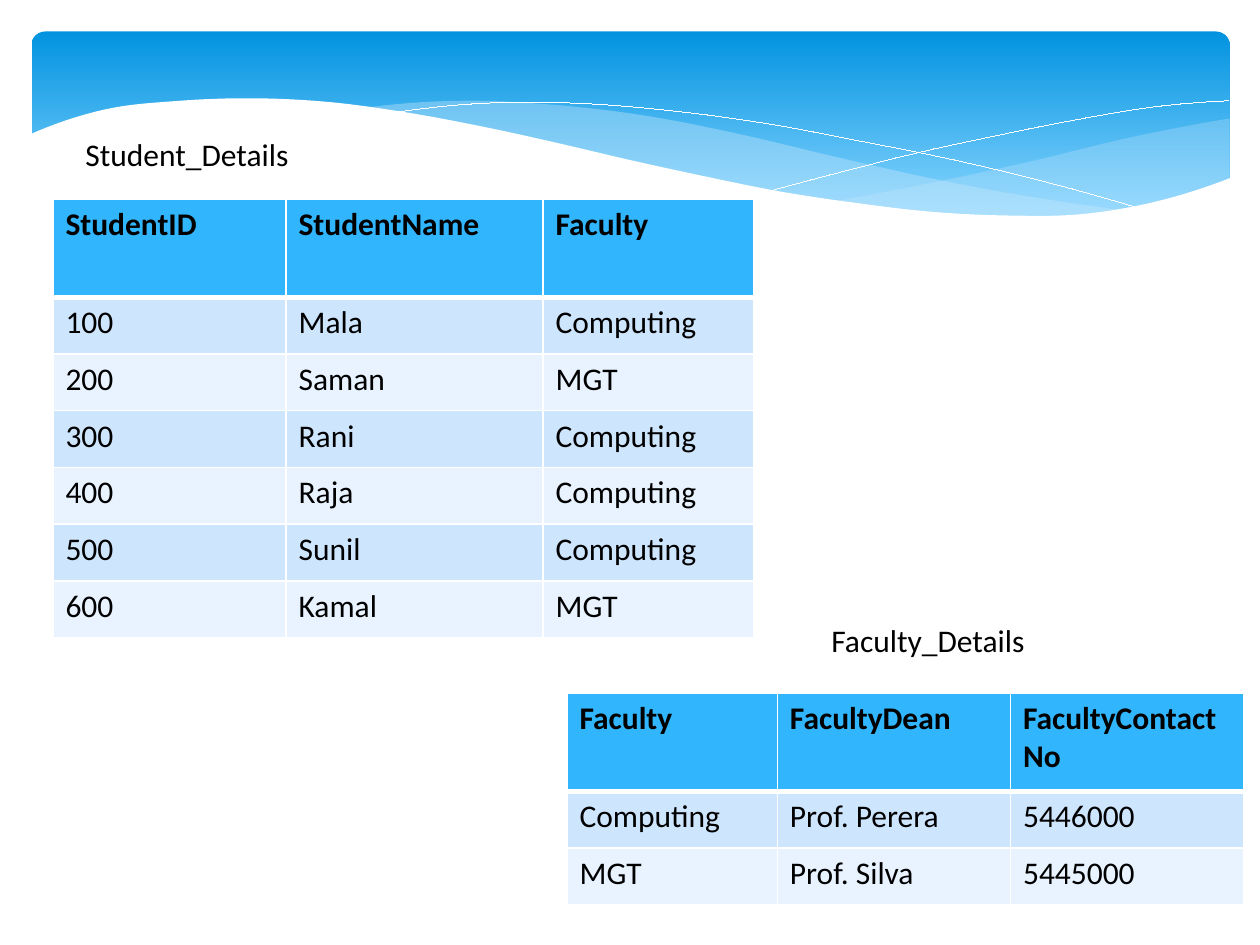
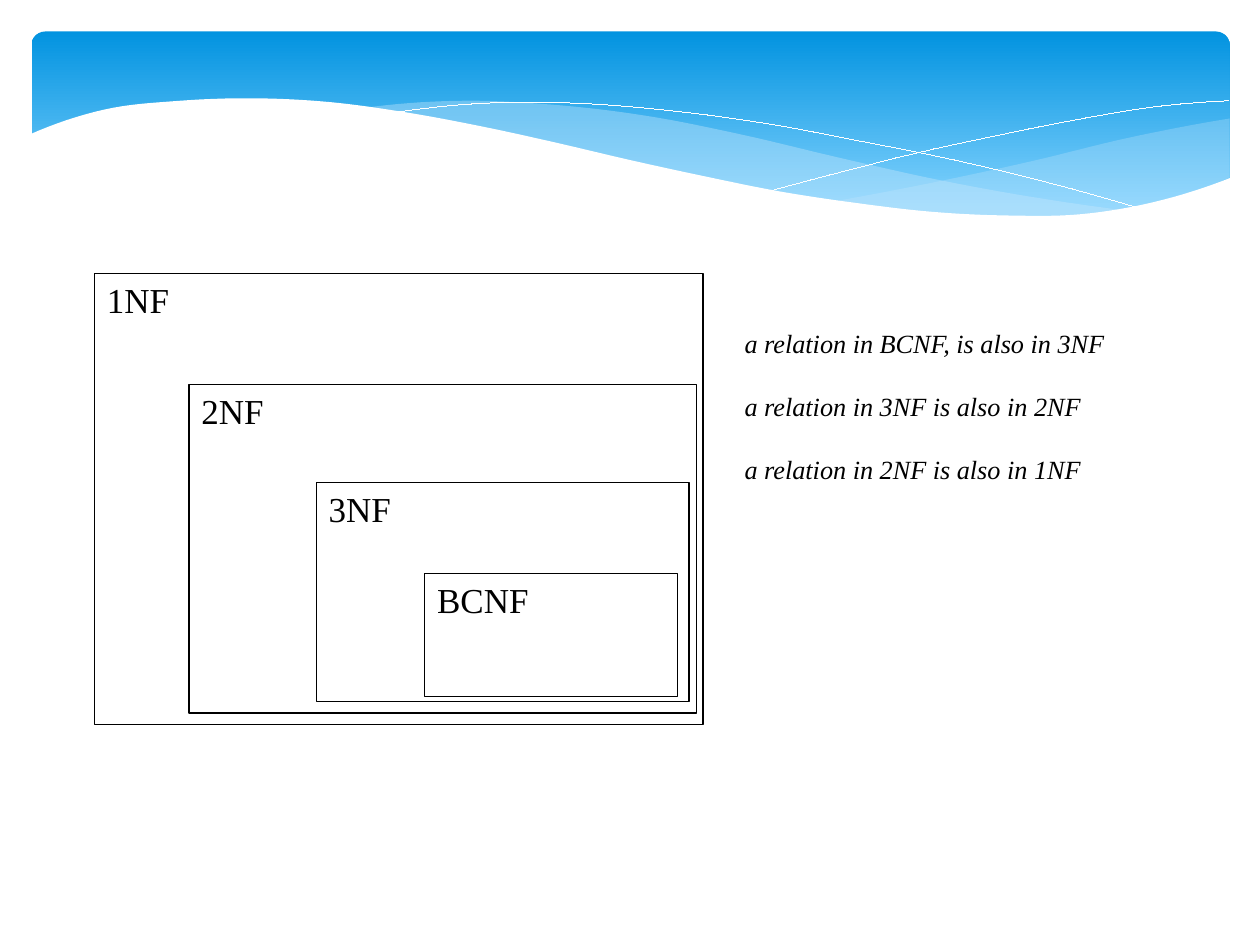
from lxml.etree import SubElement
from pptx import Presentation
from pptx.dml.color import RGBColor
from pptx.enum.shapes import MSO_SHAPE
from pptx.enum.text import MSO_ANCHOR, PP_ALIGN
from pptx.oxml.ns import qn
from pptx.util import Pt

PX = 9144
STEPS = 8
HUES = {
    "ink": "000000",
    "white": "FFFFFF",
    "deep": "0293E0",
    "sky": "83D3FE",
    "mist": "C6E7FC",
    "head": "31B6FD",
    "odd": "CEE5FE",
    "even": "E8F3FF",
}
SANS = "Calibri"
SERIF = "Times New Roman"

STUDENTS = [
    ["StudentID", "StudentName", "Faculty"],
    ["100", "Mala", "Computing"],
    ["200", "Saman", "MGT"],
    ["300", "Rani", "Computing"],
    ["400", "Raja", "Computing"],
    ["500", "Sunil", "Computing"],
    ["600", "Kamal", "MGT"],
]
DEANS = [
    ["Faculty", "FacultyDean", "FacultyContactNo"],
    ["Computing", "Prof. Perera", "5446000"],
    ["MGT", "Prof. Silva", "5445000"],
]
FORMS = [
    ("BCNF", (337, 455, 201, 98)),
    ("3NF", (251, 383, 296, 174)),
    ("2NF", (150, 305, 403, 261)),
    ("1NF", (75, 217, 483, 358)),
]
CLAIMS = [
    "a relation in BCNF, is also in 3NF",
    "a relation in 3NF is also in 2NF",
    "a relation in 2NF is also in 1NF",
]


def hue(name):
    return RGBColor.from_string(HUES[name])


def emu(*sizes):
    return [round(size * PX) for size in sizes]


def blend(a, b, c, d, t):
    return b + t / 2 * (c - a + t * (2 * a - 5 * b + 4 * c - d + t * (3 * (b - c) + d - a)))


def extend(a, b, c):
    return 3 * a - 3 * b + c


def wave(left, right, *tops):
    """Smooth curve through heights spaced evenly from left to right."""
    knots = [extend(*tops[:3]), *tops, extend(*tops[:-4:-1])]
    count = (len(tops) - 1) * STEPS
    points = []
    for num in range(count):
        knot, step = divmod(num, STEPS)
        top = blend(*knots[knot:knot + 4], step / STEPS)
        points.append((left + (right - left) * num / count, top))
    return points + [(right, tops[-1])]


def style(frame, size, face, bold=False, slant=False):
    for para in frame.paragraphs:
        para.alignment = PP_ALIGN.LEFT
        for run in para.runs:
            font = run.font
            font.size, font.name = Pt(size), face
            font.bold, font.italic = bold, slant
            font.color.rgb = hue("ink")


def inset(frame, left, top):
    frame.margin_left, frame.margin_top = emu(left, top)
    frame.margin_right = frame.margin_bottom = 0


def add_label(slide, text, box, size=18, face=SANS, slant=False):
    frame = slide.shapes.add_textbox(*emu(*box)).text_frame
    frame.word_wrap = True
    frame.text = text
    style(frame, size, face, slant=slant)
    return frame


def add_path(slide, points, closed):
    start, *rest = [emu(*point) for point in points]
    pen = slide.shapes.build_freeform(*start)
    pen.add_line_segments(rest, close=closed)
    shape = pen.convert_to_shape()
    shape.shadow.inherit = False
    return shape


def add_patch(slide, upper, lower, name, alpha=100):
    shape = add_path(slide, upper + lower[::-1], True)
    shape.line.fill.background()
    shape.fill.solid()
    shape.fill.fore_color.rgb = hue(name)
    if alpha < 100:
        tone = shape.element.spPr.find(".//" + qn("a:srgbClr"))
        SubElement(tone, qn("a:alpha"), val=str(alpha * 1000))
    return shape


def add_curve(slide, points):
    shape = add_path(slide, points, False)
    shape.fill.background()
    shape.line.color.rgb = hue("white")
    shape.line.width = Pt(0.01)
    return shape


def add_band(slide):
    band = slide.shapes.add_shape(MSO_SHAPE.ROUNDED_RECTANGLE, *emu(25, 25, 951, 156))
    band.adjustments[0] = 0.07
    band.shadow.inherit = False
    band.line.fill.background()
    band.fill.gradient()
    band.fill.gradient_angle = 270
    for stop, name, place in zip(band.fill.gradient_stops, ("deep", "sky"), (0, 0.9)):
        stop.color.rgb = hue(name)
        stop.position = place
    return band


def add_swell(slide):
    upper = wave(661, 976, 160, 145, 128, 109, 94)
    lower = wave(661, 976, 160, 169, 172, 165, 141)
    return add_patch(slide, upper, lower, "mist", 29)


def add_stream(slide):
    upper = wave(286, 893, 86, 80, 83, 92, 107, 125, 142, 156, 167)
    lower = wave(286, 893, 86, 97, 113, 131, 147, 161, 170, 173, 167)
    return add_patch(slide, upper, lower, "mist", 40)


def add_fall(slide):
    return add_curve(slide, wave(309, 907, 90, 82, 82, 88, 98, 112, 127, 145, 166))


def add_rise(slide):
    return add_curve(slide, wave(613, 975, 151, 135, 120, 107, 95, 85, 80))


def add_front(slide):
    upper = wave(23, 977, 107, 87, 80, 78, 81, 89, 100, 113, 127,
                 140, 152, 161, 168, 171, 170, 160, 141)
    return add_patch(slide, upper, [(23, 224), (977, 224)], "white")


def set_waves(layout, slide):
    for add in (add_band, add_swell, add_stream, add_fall, add_rise, add_front):
        layout.shapes.element.append(add(slide).element)


def set_edges(cell, row):
    props = cell._tc.get_or_add_tcPr()
    thick = {"lnB": 0, "lnT": 1}
    for side in ("lnL", "lnR", "lnT", "lnB"):
        width = 3 if thick.get(side) == row else 1
        edge = SubElement(props, qn("a:" + side), w=str(Pt(width)))
        fill = SubElement(edge, qn("a:solidFill"))
        SubElement(fill, qn("a:srgbClr"), val=HUES["white"])


def add_grid(slide, rows, left, top, widths):
    heights = [78] + [45] * (len(rows) - 1)
    box = emu(left, top, sum(widths), sum(heights))
    table = slide.shapes.add_table(len(rows), len(widths), *box).table
    for col, width in zip(table.columns, emu(*widths)):
        col.width = width
    for row, height in zip(table.rows, emu(*heights)):
        row.height = height
    for num, texts in enumerate(rows):
        name = "head" if num == 0 else "odd" if num % 2 else "even"
        for cell, text in zip(table.rows[num].cells, texts):
            set_edges(cell, num)
            cell.fill.solid()
            cell.fill.fore_color.rgb = hue(name)
            cell.text = text
            style(cell.text_frame, 18, SANS, bold=num == 0)


def add_form(slide, text, box):
    shape = slide.shapes.add_shape(MSO_SHAPE.RECTANGLE, *emu(*box))
    shape.shadow.inherit = False
    shape.fill.background()
    shape.line.color.rgb = hue("ink")
    shape.line.width = Pt(0.72)
    frame = shape.text_frame
    frame.vertical_anchor = MSO_ANCHOR.TOP
    inset(frame, 10, 4)
    frame.text = text
    style(frame, 20, SERIF)


def fill_tables(slide):
    add_grid(slide, STUDENTS, 42, 158, [185, 204, 167])
    add_grid(slide, DEANS, 450, 550, [167, 185, 185])
    add_label(slide, "Student_Details", (58, 102, 275, 40))
    add_label(slide, "Faculty_Details", (650, 488, 275, 40))


def fill_forms(slide):
    for num, claim in enumerate(CLAIMS):
        box = (590, 258 + 50 * num, 290, 26)
        inset(add_label(slide, claim, box, 15, SERIF, True), 1, 2)
    for text, box in FORMS:
        add_form(slide, text, box)


def main():
    deck = Presentation()
    deck.slide_width, deck.slide_height = emu(1000, 750)
    blank = deck.slide_layouts[6]
    first = deck.slides.add_slide(blank)
    set_waves(blank, first)
    fill_tables(first)
    fill_forms(deck.slides.add_slide(blank))
    deck.save("out.pptx")


if __name__ == "__main__":
    main()
